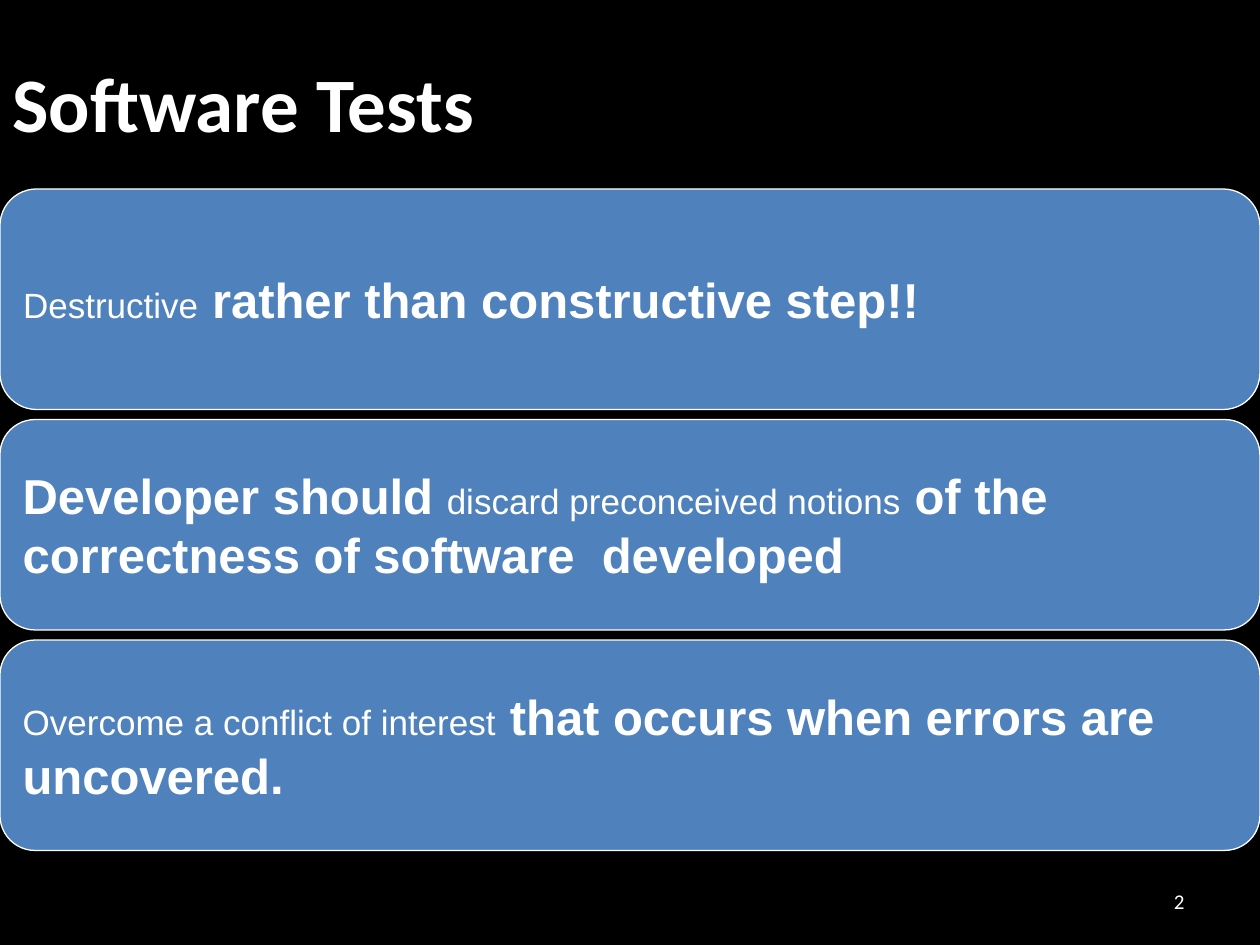
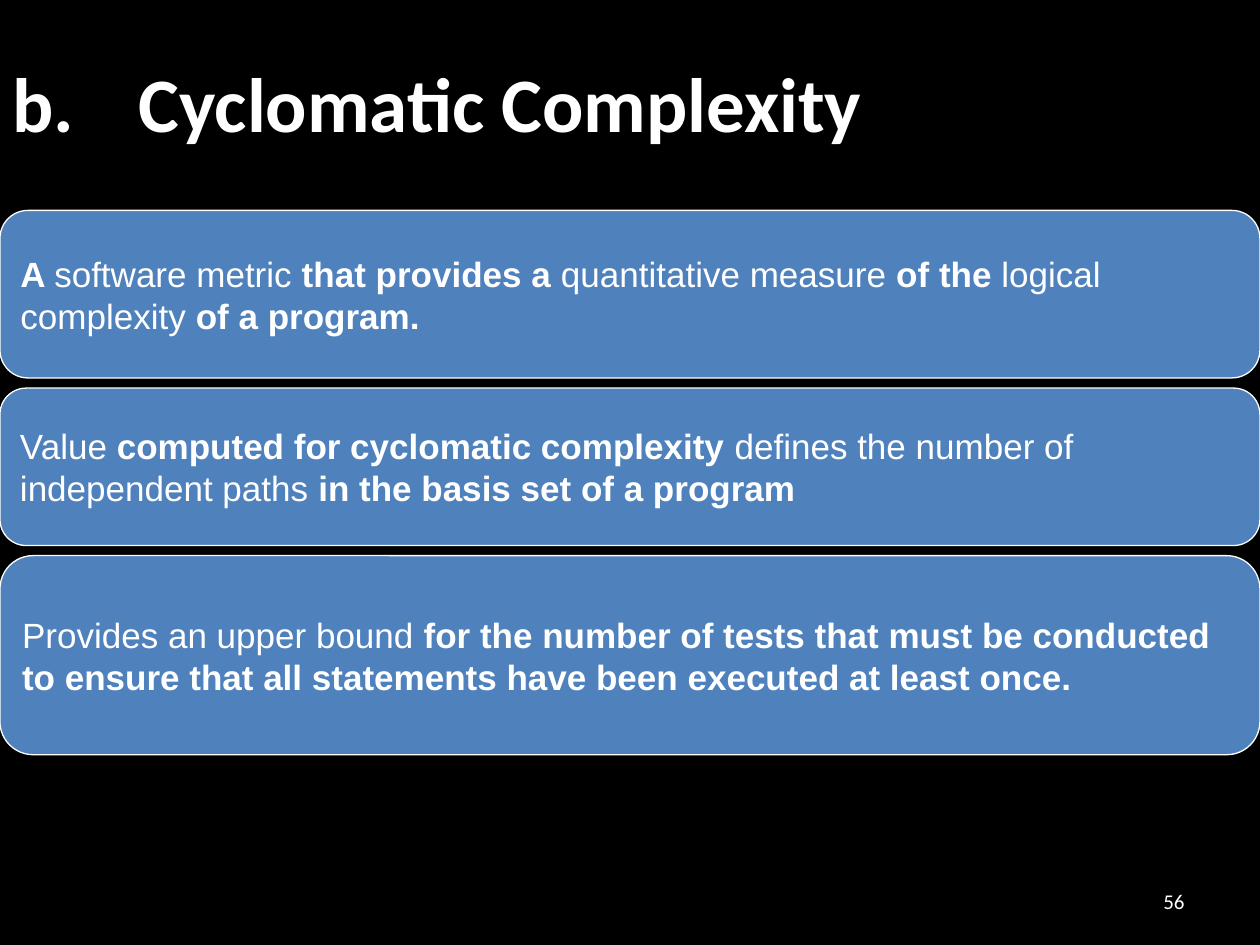
"""Build two slides on software testing with stacked rounded cards."""
import pptx
import pptx.dml.color
import pptx.enum.shapes
import pptx.enum.text
import pptx.oxml
import pptx.oxml.ns
import pptx.util

Inches = pptx.util.Inches
Pt = pptx.util.Pt
ALIGN = pptx.enum.text.PP_ALIGN
BLACK, WHITE, BLUE = "000000", "FFFFFF", "4F81BD"
CARD_GAP = 0.08
PLAIN_SIZE = 20


def rgb(value):
    return pptx.dml.color.RGBColor.from_string(value)


def write(sp, runs, font, align=ALIGN.LEFT):
    tf = sp.text_frame
    tf.word_wrap = True
    tf.vertical_anchor = pptx.enum.text.MSO_ANCHOR.MIDDLE
    tf.margin_left = tf.margin_right = Inches(0.1)
    tf.margin_top = tf.margin_bottom = Inches(0.05)
    p = tf.paragraphs[0]
    p.alignment = align
    for text, size, bold in runs:
        r = p.add_run()
        r.text = text
        r.font.name = font
        r.font.size = Pt(size)
        r.font.bold = bold
        r.font.color.rgb = rgb(WHITE)
    return p


slides = [
    {
        "title": "Software Tests", "number": "2", "top": 1.5, "bold_size": 28,
        "cards": [
            (1.75, [("Destructive", False),
                    (" rather than constructive step!!", True)]),
            (1.67, [("Developer should ", True),
                    ("discard preconceived notions", False),
                    (" of the correctness of software  developed", True)]),
            (1.67, [("Overcome a conflict of interest", False),
                    (" that occurs when errors are uncovered.", True)]),
        ],
    },
    {
        "title": "b.\tCyclomatic Complexity", "number": "56", "top": 1.67, "bold_size": 20,
        "cards": [
            (1.33, [("A ", True),
                    ("software metric", False),
                    (" that provides a ", True),
                    ("quantitative measure", False),
                    (" of the ", True),
                    ("logical complexity", False),
                    (" of a program.", True)]),
            (1.25, [("Value", False),
                    (" computed for cyclomatic complexity ", True),
                    ("defines the number of independent paths", False),
                    (" in the basis set of a program", True)]),
            (1.58, [("Provides an upper bound", False),
                    (" for the number of tests that must be conducted to ensure"
                     " that all statements have been executed at least once.", True)]),
        ],
    },
]

prs = pptx.Presentation()
prs.slide_width = Inches(10)
prs.slide_height = Inches(7.5)
bg = prs.slide_master.background.fill
bg.solid()
bg.fore_color.rgb = rgb(BLACK)

for content in slides:
    s = prs.slides.add_slide(prs.slide_layouts[5])

    title = s.shapes.title
    title.left, title.top = Inches(0), Inches(0)
    title.width, title.height = Inches(8.5), Inches(1.61)
    p = write(title, [(content["title"], 44, True)], "Calibri")
    tabs = pptx.oxml.parse_xml(
        f'<a:tabLst {pptx.oxml.ns.nsdecls("a")}>'
        f'<a:tab pos="{Inches(1)}" algn="l"/></a:tabLst>')
    p._p.get_or_add_pPr().append(tabs)

    number = s.shapes.add_textbox(Inches(7.17), Inches(6.95), Inches(2.33), Inches(0.4))
    write(number, [(content["number"], 12, False)], "Calibri", ALIGN.RIGHT)

    top = content["top"]
    for height, parts in content["cards"]:
        card = s.shapes.add_shape(
            pptx.enum.shapes.MSO_SHAPE.ROUNDED_RECTANGLE,
            Inches(0), Inches(top), Inches(10), Inches(height))
        card.shadow.inherit = False
        card.fill.solid()
        card.fill.fore_color.rgb = rgb(BLUE)
        card.line.color.rgb = rgb(WHITE)
        card.line.width = Pt(0.75)
        runs = [(text, content["bold_size"] if bold else PLAIN_SIZE, bold)
                for text, bold in parts]
        write(card, runs, "Arial")
        top += height + CARD_GAP

prs.save("out.pptx")
